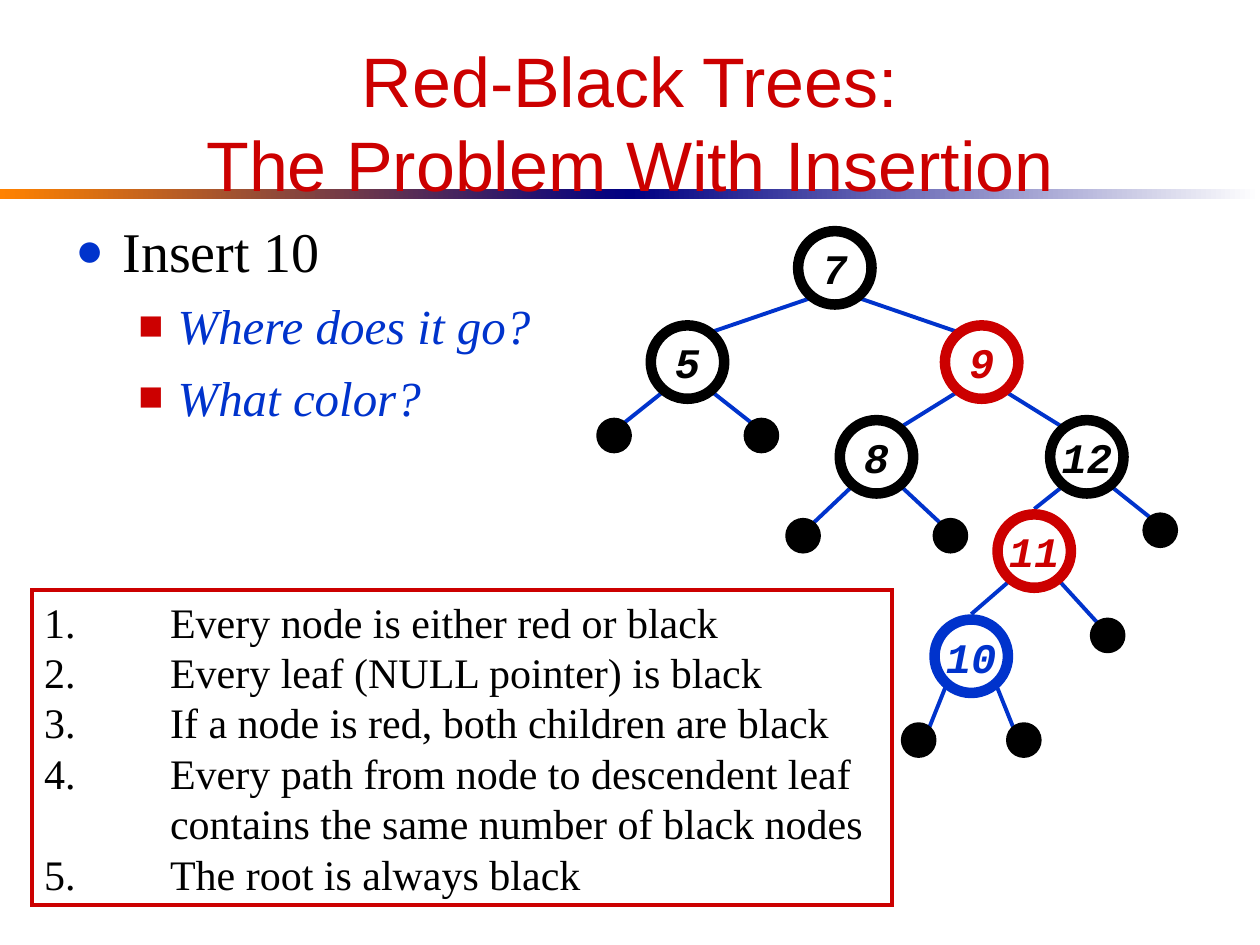
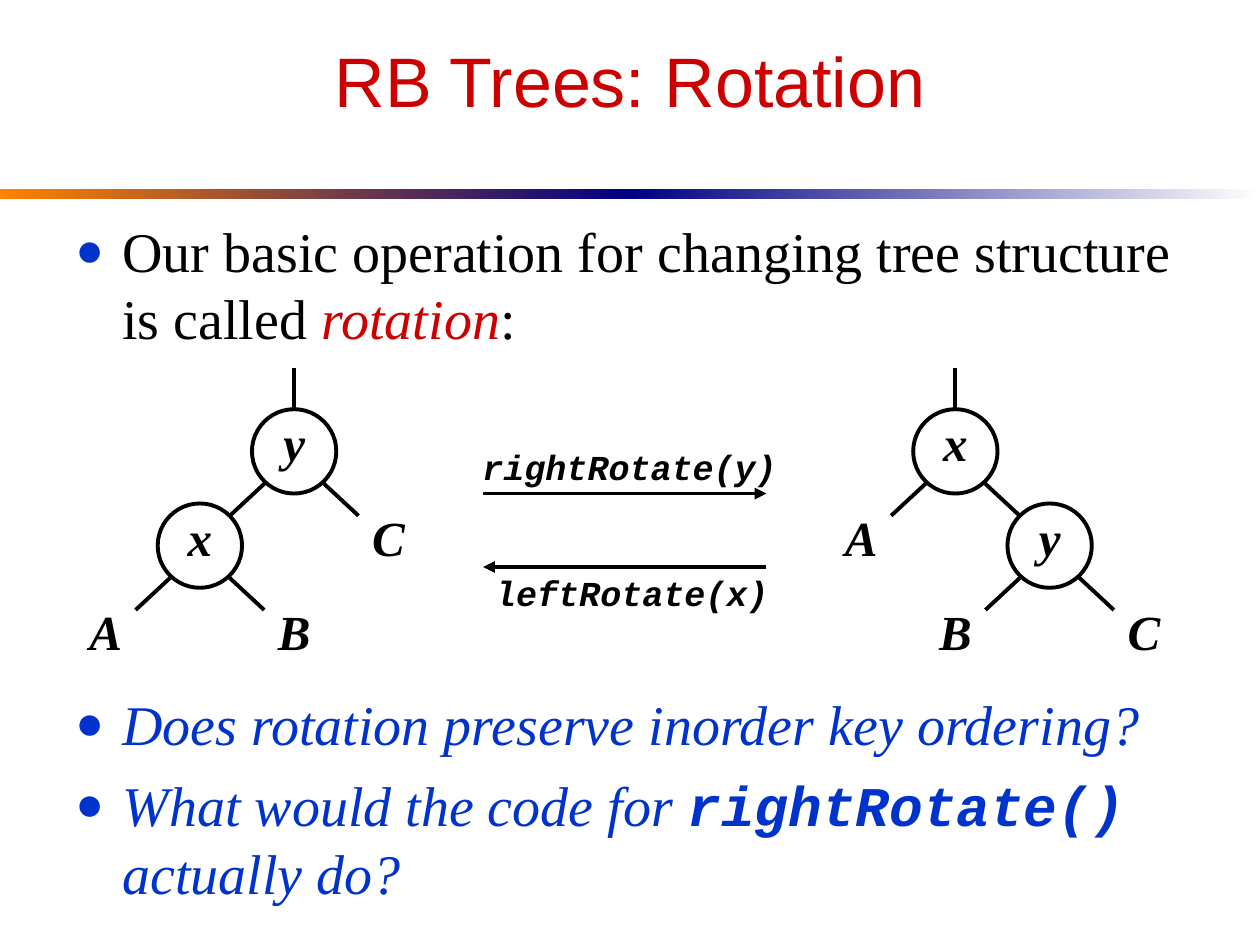
from lxml.etree import SubElement
from pptx import Presentation
from pptx.dml.color import RGBColor
from pptx.enum.shapes import MSO_CONNECTOR, MSO_SHAPE
from pptx.enum.text import MSO_ANCHOR, PP_ALIGN
from pptx.oxml.ns import qn
from pptx.util import Cm, Pt

# Shared look; all lengths are centimetres
RED, BLUE, BLACK, WHITE = "CC0000", "0033CC", "000000", "FFFFFF"
ORANGE, NAVY = "FF8200", "000082"
SANS, SERIF, MONO = "Arial", "Times New Roman", "Courier New"
THIN, THICK = 2.25, 6
SLIDE_WIDTH, SLIDE_HEIGHT = 25.4, 19.05
TEXT_LEFT, TEXT_WIDTH = 1.27, 22.86
TITLE_TOP, BAND_TOP, OUTLINE_TOP = 0.64, 3.81, 4.24
QUESTION = {"ink": BLUE, "italic": True}
# Per outline level: left margin, hang, bullet, bullet colour, size, space before
LEVELS = [(0.95, 0.95, "●", BLUE, 32, 8), (2.06, 0.79, "■", RED, 28, 7)]


def color(hex_text):
    return RGBColor.from_string(hex_text)


# Text
def write(paragraph, text, size=24, font=SERIF, ink=BLACK, bold=False, italic=False):
    """Add text to a paragraph; each newline becomes a line break."""
    for index, line in enumerate(text.split("\n")):
        if index:
            paragraph.add_line_break()
        run = paragraph.add_run()
        run.text = line
        run.font.size, run.font.name = Pt(size), font
        run.font.bold, run.font.italic = bold, italic
        run.font.color.rgb = color(ink)


def write_label(frame, text, spacing=None, **text_format):
    """Centre one bold italic line in a frame."""
    frame.word_wrap = False
    frame.vertical_anchor = MSO_ANCHOR.MIDDLE
    paragraph = frame.paragraphs[0]
    paragraph.alignment = PP_ALIGN.CENTER
    paragraph.line_spacing = spacing
    write(paragraph, text, bold=True, italic=True, **text_format)


def set_indent(paragraph, margin, hang):
    properties = paragraph._p.get_or_add_pPr()
    properties.set("marL", str(Cm(margin)))
    properties.set("indent", str(-Cm(hang)))
    return properties


def next_paragraph(frame, index):
    return frame.add_paragraph() if index else frame.paragraphs[0]


def add_text_box(slide, left, top, width, height):
    box = slide.shapes.add_textbox(Cm(left), Cm(top), Cm(width), Cm(height))
    box.text_frame.word_wrap = True
    return box.text_frame


def add_outline(slide, top, height, items):
    """Each item is a level followed by (text, format) pairs."""
    frame = add_text_box(slide, TEXT_LEFT, top, TEXT_WIDTH, height)
    for index, (level, *runs) in enumerate(items):
        margin, hang, bullet, bullet_color, size, space = LEVELS[level]
        paragraph = next_paragraph(frame, index)
        paragraph.level = level
        if index:
            paragraph.space_before = Pt(space)
        properties = set_indent(paragraph, margin, hang)
        fill = SubElement(properties, qn("a:buClr"))
        SubElement(fill, qn("a:srgbClr"), val=bullet_color)
        SubElement(properties, qn("a:buSzPct"), val="85000")
        SubElement(properties, qn("a:buFont"), typeface=SERIF)
        SubElement(properties, qn("a:buChar"), char=bullet)
        for text, text_format in runs:
            write(paragraph, text, size=size, **text_format)


# Shapes
def add_shape(slide, kind, left, top, width, height, fill=None, line=None, weight=THIN):
    shape = slide.shapes.add_shape(kind, Cm(left), Cm(top), Cm(width), Cm(height))
    shape.shadow.inherit = False
    if fill:
        shape.fill.solid()
        shape.fill.fore_color.rgb = color(fill)
    else:
        shape.fill.background()
    if line:
        shape.line.color.rgb = color(line)
        shape.line.width = Pt(weight)
    else:
        shape.line.fill.background()
    return shape


def add_circle(slide, center, diameter, **look):
    left, top = (value - diameter / 2 for value in center)
    return add_shape(slide, MSO_SHAPE.OVAL, left, top, diameter, diameter, **look)


def add_line(slide, start, end, ink=BLACK, arrow=False):
    connector = slide.shapes.add_connector(
        MSO_CONNECTOR.STRAIGHT, *(Cm(value) for value in (*start, *end)))
    connector.line.color.rgb = color(ink)
    connector.line.width = Pt(THIN)
    properties = connector._element.spPr
    if arrow:
        SubElement(properties.get_or_add_ln(), qn("a:tailEnd"), type="triangle")
    SubElement(properties, qn("a:effectLst"))


def add_edge(slide, parent, child, parent_offset, child_offset, ink=BLACK):
    """Join two centers; offsets point from each center towards the other."""
    side = 1 if child[0] > parent[0] else -1
    start = parent[0] + side * parent_offset[0], parent[1] + parent_offset[1]
    end = child[0] - side * child_offset[0], child[1] - child_offset[1]
    add_line(slide, start, end, ink)


# Slide frame
def add_slide(presentation, title):
    slide = presentation.slides.add_slide(presentation.slide_layouts[6])
    half = SLIDE_WIDTH / 2
    for left, inks in ((0, (ORANGE, NAVY)), (half, (NAVY, WHITE))):
        band = add_shape(slide, MSO_SHAPE.RECTANGLE, left, BAND_TOP, half, 0.2)
        band.fill.gradient()
        band.fill.gradient_angle = 0
        for position, (stop, ink) in enumerate(zip(band.fill.gradient_stops, inks)):
            stop.position = position
            stop.color.rgb = color(ink)
    frame = add_text_box(slide, TEXT_LEFT, TITLE_TOP, TEXT_WIDTH, 2.74)
    frame.paragraphs[0].alignment = PP_ALIGN.CENTER
    write(frame.paragraphs[0], title, size=40, font=SANS, ink=RED)
    return slide


# Slide 1: insertion
def add_rules(slide, rules):
    box = add_shape(slide, MSO_SHAPE.RECTANGLE, 0.64, 11.89, 17.35, 6.35, line=RED)
    SubElement(box._element.spPr.get_or_add_ln(), qn("a:miter"), lim="800000")
    frame = box.text_frame
    frame.word_wrap = True
    frame.vertical_anchor = MSO_ANCHOR.MIDDLE
    for number, rule in enumerate(rules, start=1):
        paragraph = next_paragraph(frame, number - 1)
        paragraph.alignment = PP_ALIGN.LEFT
        set_indent(paragraph, margin=2.54, hang=2.54)
        write(paragraph, f"{number}.\t{rule}")


def add_red_black_tree(slide):
    # Key: center, colour, parent key
    nodes = {
        "7": ((16.83, 5.4), BLACK, None),
        "5": ((13.86, 7.3), BLACK, "7"),
        "9": ((19.79, 7.3), RED, "7"),
        "8": ((17.67, 9.21), BLACK, "9"),
        "12": ((21.91, 9.21), BLACK, "9"),
        "11": ((20.85, 11.11), RED, "12"),
        "10": ((19.58, 13.23), BLUE, "11"),
    }
    # Parent key: centers of its NULL leaves
    leaves = {
        "5": [(12.38, 8.78), (15.35, 8.78)],
        "8": [(16.19, 10.8), (19.16, 10.8)],
        "12": [(23.39, 10.69)],
        "11": [(22.33, 12.81)],
        "10": [(18.52, 14.92), (20.64, 14.92)],
    }
    # Where an edge meets a circle, measured from its center
    node_corner, node_top, leaf_corner = (0.52, 0.62), (0, 0.85), (0.22, 0.27)
    entered_at_top = ("11", "10")

    for key, (center, _, parent) in nodes.items():
        if parent:
            entry = node_top if key in entered_at_top else node_corner
            add_edge(slide, nodes[parent][0], center, node_corner, entry, BLUE)
    for parent, centers in leaves.items():
        for center in centers:
            add_edge(slide, nodes[parent][0], center, node_corner, leaf_corner, BLUE)
            add_circle(slide, center, 0.64, fill=BLACK, line=BLACK)
    for key, (center, ink, _) in nodes.items():
        circle = add_circle(slide, center, 1.48, fill=WHITE, line=ink, weight=THICK)
        write_label(circle.text_frame, key, font=MONO, ink=ink)


def build_insertion_slide(presentation):
    slide = add_slide(presentation, "Red-Black Trees:\nThe Problem With Insertion")
    add_outline(slide, OUTLINE_TOP, 6, [
        (0, ("Insert 10", {})),
        (1, ("Where does it go?", QUESTION)),
        (1, ("What color?", QUESTION)),
    ])
    add_rules(slide, [
        "Every node is either red or black",
        "Every leaf (NULL pointer) is black",
        "If a node is red, both children are black",
        "Every path from node to descendent leaf\ncontains the same number of black nodes",
        "The root is always black",
    ])
    add_red_black_tree(slide)


# Slide 2: rotation
def add_rotation_tree(slide, root_x, root_label, child_labels, inner_label, inner_labels):
    """Draw a root and two children, one of which (inner) has two subtrees."""
    root_y, step, diameter = 9.1, 1.9, 1.7
    parent_corner, child_corner = (0.6, 0.65), (0.6, 0.6)
    root = (root_x, root_y)
    placed = [(root_label, root)]

    def add_children(parent, labels):
        for side, label in zip((-1, 1), labels):
            center = (parent[0] + side * step, parent[1] + step)
            add_edge(slide, parent, center, parent_corner, child_corner)
            placed.append((label, center))

    add_line(slide, (root_x, root_y - diameter / 2), (root_x, 7.42))
    add_children(root, child_labels)
    add_children(dict(placed)[inner_label], inner_labels)
    for label, center in placed:
        # Lower case marks a node; upper case marks a subtree without an outline
        outline = BLACK if label.islower() else None
        circle = add_circle(slide, center, diameter, fill=WHITE, line=outline)
        write_label(circle.text_frame, label, size=28, spacing=0.6)


def add_operation(slide, name, text_area, arrow_y, start_x, end_x):
    add_line(slide, (start_x, arrow_y), (end_x, arrow_y), arrow=True)
    write_label(add_text_box(slide, *text_area), name, size=20, font=MONO)


def build_rotation_slide(presentation):
    slide = add_slide(presentation, "RB Trees: Rotation")
    add_outline(slide, OUTLINE_TOP, 3, [
        (0, ("Our basic operation for changing tree structure is called ", {}),
         ("rotation", {"ink": RED, "italic": True}), (":", {})),
    ])
    add_outline(slide, 13.78, 4.8, [
        (0, ("Does rotation preserve inorder key ordering?", QUESTION)),
        (0, ("What would the code for ", QUESTION),
         ("rightRotate()", {**QUESTION, "font": MONO, "bold": True}),
         (" actually do?", QUESTION)),
    ])
    add_rotation_tree(slide, 5.93, "y", "xC", "x", "AB")
    add_rotation_tree(slide, 19.26, "x", "Ay", "y", "BC")
    left_x, right_x = 9.74, 15.45
    add_operation(slide, "rightRotate(y)", (9.47, 8.84, 6.45, 1.11), 9.95, left_x, right_x)
    add_operation(slide, "leftRotate(x)", (9.73, 11.38, 6.02, 1.11), 11.43, right_x, left_x)


def main():
    presentation = Presentation()
    presentation.slide_width = Cm(SLIDE_WIDTH)
    presentation.slide_height = Cm(SLIDE_HEIGHT)
    build_insertion_slide(presentation)
    build_rotation_slide(presentation)
    presentation.save("out.pptx")


if __name__ == "__main__":
    main()
